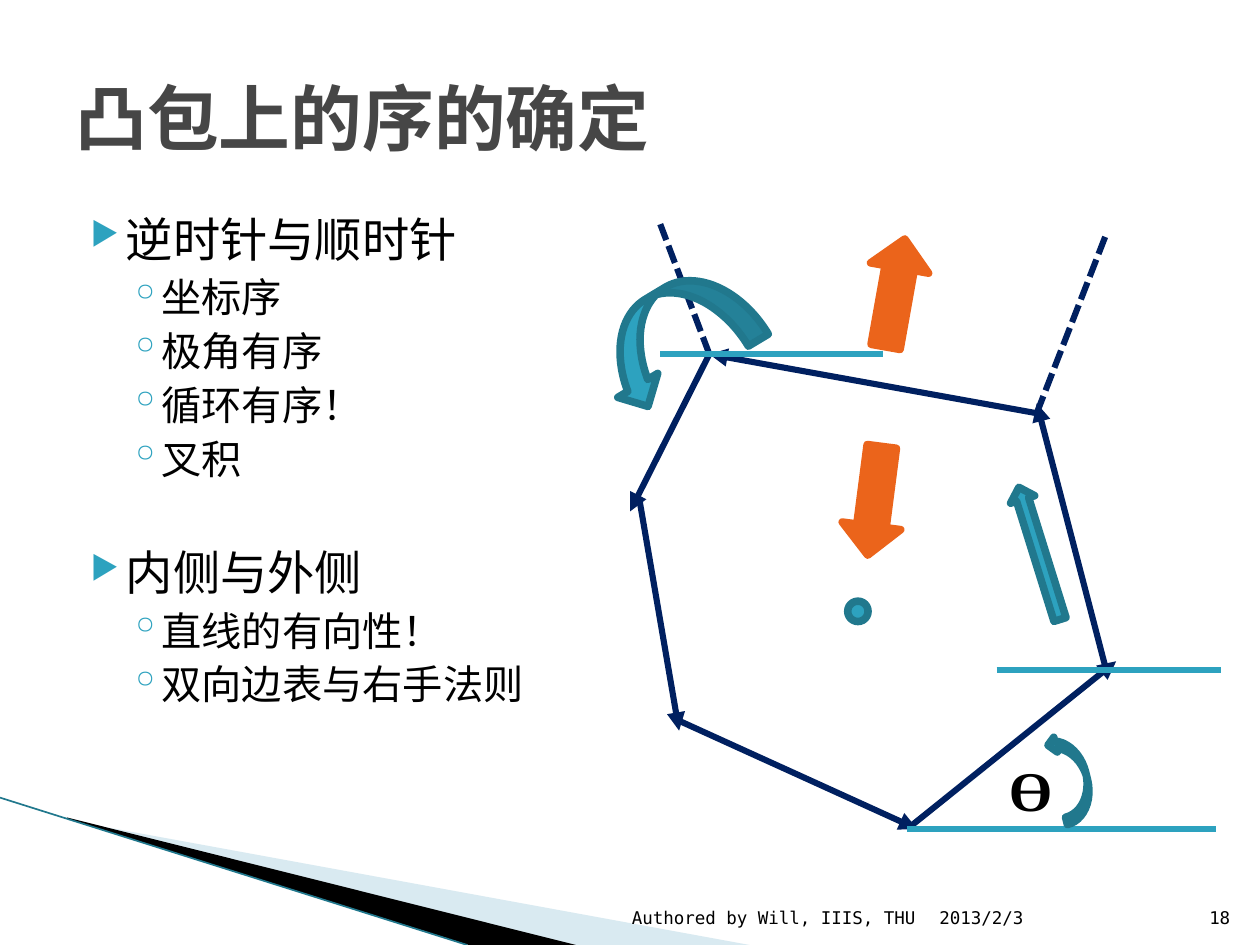
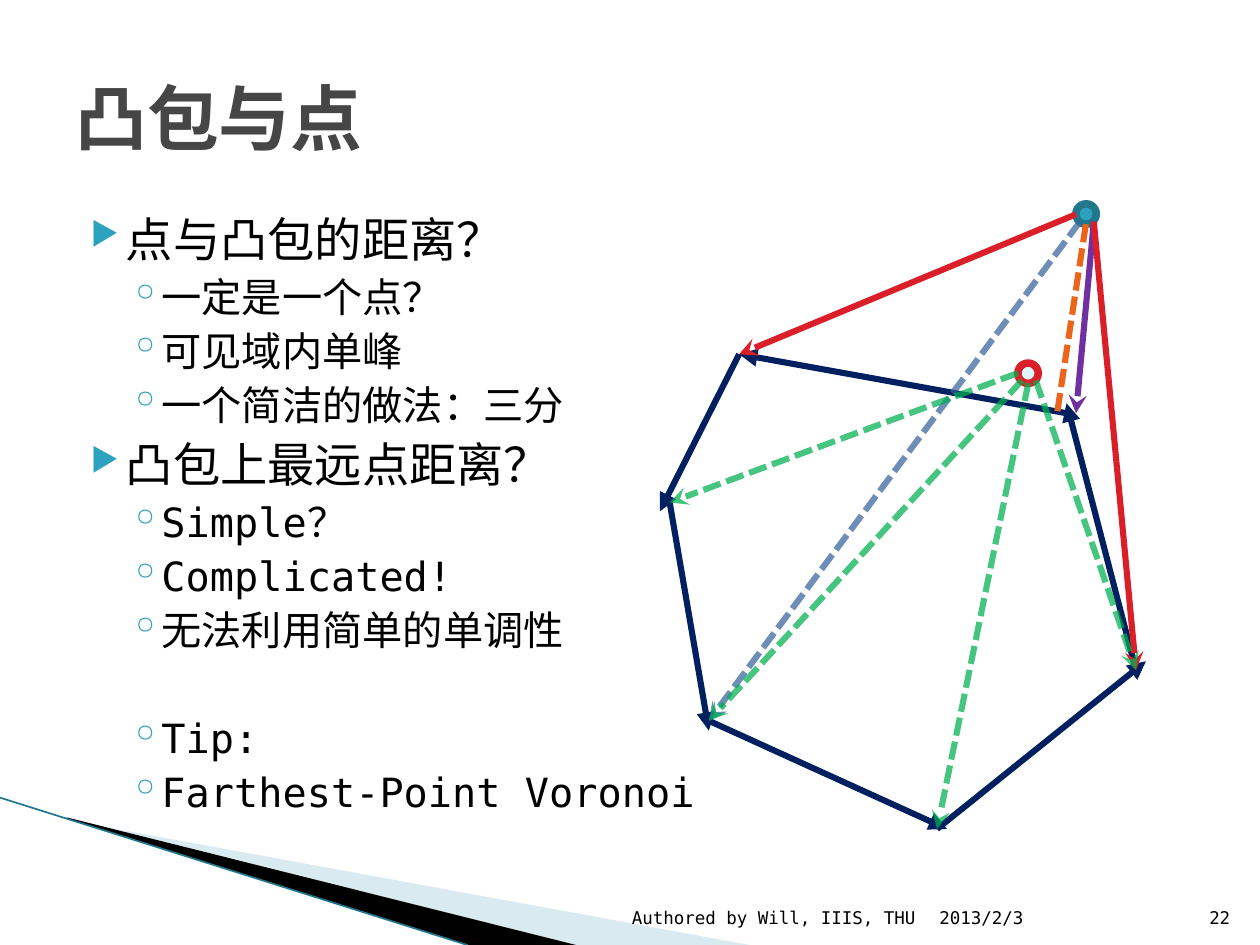
from lxml import etree
from pptx import Presentation
from pptx import util as u
from pptx.dml import color
from pptx.enum import dml, shapes, text
from pptx.oxml import ns

COLORS = {
    "title": "464646", "ink": "000000", "accent": "2DA2BF", "edge": "21788D",
    "hull": "002060", "orange": "EB641B", "red": "DA1F28", "purple": "7030A0",
    "blue": "39639D", "green": "00B050", "pale": "DEF5FA", "band": "A0CBDC",
}
MONO, SERIF = "DejaVu Sans Mono", "Times New Roman"
WIDTH, HEIGHT = 25.4, 19.05
DOT = 0.41
STROKE, OUTLINE = 3.5, 4.33
SEE_THROUGH = 72

BANDS = [
    ("band", 40, [(1.4, 16.54), (15.11, HEIGHT), (11.58, HEIGHT), (1.4, 16.51)]),
    ("ink", None, [(1.35, 16.48), (11.61, HEIGHT), (9.45, HEIGHT), (1.37, 16.51)]),
]
BAND_EDGE = ((0, 16.08), (9.42, HEIGHT))
FOOTER_TOP, FOOTER_HEIGHT = 17.81, 1.02
FOOTERS = [
    ("2013/2/3", 18.69, 5.33, "LEFT"),
    ("Authored by Will, IIIS, THU", 12.17, 6.53, "RIGHT"),
]
PAGE_NUMBER = (24.03, 1.02, "RIGHT")

LEVELS = [
    {"size": 27, "margin": 1.02, "indent": -0.71, "before": 4, "bullet": "▶", "scale": 68},
    {"size": 23, "margin": 1.73, "indent": -0.64, "before": 3.2, "bullet": "◦", "scale": 100},
]
SECTION_GAP = 31

HULL = [(14.3, 7.14), (12.9, 10.13), (13.69, 14.53),
        (18.29, 16.71), (22.3, 13.51), (20.9, 8.33)]
OVERSHOOT = [(0, 0), (-0.2, 0.18), (0, 0.2), (0.2, 0), (0.2, -0.18), (0, -0.2)]
SHIFT = 0.6
SHIFTED = [(x + SHIFT, y) for x, y in HULL]

ORDER_FIGURE = [
    ("shape", "DOWN_ARROW", (17.04, 8.99, 1.19, 2.21), 7.4, "orange", "orange"),
    ("shape", "DOWN_ARROW", (17.45, 4.8, 1.19, 2.21), 190.1, "orange", "orange"),
    ("shape", "OVAL", (17.09, 12.12, DOT, DOT), 0, "accent", "edge"),
    ("shape", "RIGHT_ARROW", (19.56, 10.9, 2.79, 0.51), 252.7, "accent", "edge"),
    ("line", HULL[0], (13.31, 4.52), "hull", {"dashed": True}),
    ("line", HULL[5], (22.3, 4.72), "hull", {"dashed": True}),
    ("line", HULL[3], (24.51, 16.71), "accent", {}),
    ("label", "ϴ", (20.09, 15.11, 1.6, 1.63)),
    ("shape", "CURVED_UP_ARROW", (20.7, 15.37, 1.8, 0.61), 256.2, "accent", "edge"),
    ("line", (20.09, 13.51), (24.61, 13.51), "accent", {}),
    ("line", (13.31, 7.14), (17.81, 7.14), "accent", {}),
    ("shape", "CURVED_UP_ARROW", (11.94, 5.84, 3.3, 1.88), 149, "accent", "edge"),
]
POINT_FIGURE = [
    ("shape", "OVAL", (21.69, 4.11, DOT, DOT), 0, "accent", "edge"),
    ("line", (21.69, 4.32), SHIFTED[0], "red", {"head": "stealth"}),
    ("line", (22.05, 4.47), (21.69, 8.33), "purple", {"head": "stealth"}),
    ("line", (22.05, 4.47), SHIFTED[4], "red", {"head": "stealth"}),
    ("line", (21.89, 4.52), (21.31, 8.33), "orange", {"dashed": True}),
    ("line", (21.77, 4.47), SHIFTED[2], "blue",
     {"dashed": True, "head": "stealth", "alpha": SEE_THROUGH}),
    ("shape", "OVAL", (20.52, 7.32, DOT, DOT), 0, "pale", "red"),
]
RAYS = [((20.52, 7.52), 1), ((20.6, 7.67), 2), ((20.73, 7.72), 3), ((20.88, 7.67), 4)]

SLIDES = [
    {"title": "凸包上的序的确定", "number": "18", "hull": HULL,
     "figure": ORDER_FIGURE, "rays": [],
     "body": [(0, "逆时针与顺时针"), (1, "坐标序"), (1, "极角有序"), (1, "循环有序！"),
              (1, "叉积"), (0, "内侧与外侧"), (1, "直线的有向性！"),
              (1, "双向边表与右手法则")],
     "gap_before": "内侧与外侧"},
    {"title": "凸包与点", "number": "22", "hull": SHIFTED,
     "figure": POINT_FIGURE, "rays": RAYS,
     "body": [(0, "点与凸包的距离？"), (1, "一定是一个点？"), (1, "可见域内单峰"),
              (1, "一个简洁的做法：三分"), (0, "凸包上最远点距离？"), (1, "Simple？"),
              (1, "Complicated!"), (1, "无法利用简单的单调性"), (1, "Tip:"),
              (1, "Farthest-Point Voronoi")],
     "gap_before": "Tip:"},
]


def rgb(name):
    return color.RGBColor.from_string(COLORS[name])


def lengths(values):
    return [u.Cm(value) for value in values]


def add_child(parent, tag, **attributes):
    child = etree.SubElement(parent, ns.qn(tag))
    for key, value in attributes.items():
        child.set(key, str(value))
    return child


def set_alpha(properties, percent):
    tint = next(properties.iter(ns.qn("a:srgbClr")))
    add_child(tint, "a:alpha", val=percent * 1000)


def add_line(target, start, end, tint, width=STROKE, dashed=False, head=None, alpha=None):
    line = target.add_connector(shapes.MSO_CONNECTOR.STRAIGHT, *lengths(start + end))
    line.line.color.rgb = rgb(tint)
    line.line.width = u.Pt(width)
    if dashed:
        line.line.dash_style = dml.MSO_LINE.SQUARE_DOT
        stroke = line.line._get_or_add_ln()
        stroke.find(ns.qn("a:prstDash")).set("val", "sysDash")
    if alpha:
        set_alpha(line.line._get_or_add_ln(), alpha)
    if head:
        add_child(line.line._get_or_add_ln(), "a:tailEnd", type=head)
    add_child(line._element.spPr, "a:effectLst")


def add_shape(target, kind, bounds, turn, fill, edge):
    shape = target.add_shape(getattr(shapes.MSO_SHAPE, kind), *lengths(bounds))
    shape.rotation = turn
    shape.shadow.inherit = False
    shape.fill.solid()
    shape.fill.fore_color.rgb = rgb(fill)
    shape.line.color.rgb = rgb(edge)
    shape.line.width = u.Pt(OUTLINE)


def add_box(page, bounds, anchor="TOP"):
    box = page.shapes.add_textbox(*lengths(bounds))
    box.text_frame.word_wrap = True
    box.text_frame.vertical_anchor = getattr(text.MSO_ANCHOR, anchor)
    return box.text_frame


def add_span(para, words, size, tint="ink", font=MONO, bold=False):
    span = para.add_run()
    span.text = words
    span.font.size = u.Pt(size)
    span.font.name = font
    span.font.bold = bold
    span.font.color.rgb = rgb(tint)
    add_child(span.font._element, "a:ea", typeface=font)


def add_label(page, words, bounds):
    add_span(add_box(page, bounds).paragraphs[0], words, 32, font=SERIF, bold=True)


def add_bands(page):
    for tint, alpha, points in BANDS:
        corners = [lengths(point) for point in points]
        builder = page.shapes.build_freeform(*corners[0])
        builder.add_line_segments(corners[1:], close=True)
        band = builder.convert_to_shape()
        band.shadow.inherit = False
        band.fill.solid()
        band.fill.fore_color.rgb = rgb(tint)
        band.line.fill.background()
        if alpha:
            set_alpha(band._element.spPr, alpha)
    add_line(page.shapes, *BAND_EDGE, "edge", width=0.95)


def add_title(page, words):
    frame = add_box(page, (1.27, 0.76, 22.86, 3.18), "MIDDLE")
    add_span(frame.paragraphs[0], words, 41, "title", bold=True)


def add_body(page, items, gap_before):
    frame = add_box(page, (1.27, 4.11, 22.86, 12.57))
    for index, (depth, words) in enumerate(items):
        level = LEVELS[depth]
        para = frame.add_paragraph() if index else frame.paragraphs[0]
        para.level = depth
        gap = SECTION_GAP if words == gap_before else 0
        para.space_before = u.Pt(level["before"] + gap)
        layout = para._p.get_or_add_pPr()
        layout.set("marL", str(u.Cm(level["margin"])))
        layout.set("indent", str(u.Cm(level["indent"])))
        add_child(add_child(layout, "a:buClr"), "a:srgbClr", val=COLORS["accent"])
        add_child(layout, "a:buSzPct", val=level["scale"] * 1000)
        add_child(layout, "a:buChar", char=level["bullet"])
        add_span(para, words, level["size"])


def add_hull(page, corners):
    group = page.shapes.add_group_shape()
    for index, start in enumerate(corners):
        following = (index + 1) % len(corners)
        (x, y), (dx, dy) = corners[following], OVERSHOOT[following]
        add_line(group.shapes, start, (x + dx, y + dy), "hull", head="triangle")


def add_figure(page, parts):
    for kind, *details in parts:
        if kind == "line":
            *ends, options = details
            add_line(page.shapes, *ends, **options)
        elif kind == "shape":
            add_shape(page.shapes, *details)
        else:
            add_label(page, *details)


def add_rays(page, rays, corners):
    group = page.shapes.add_group_shape()
    for start, corner in rays:
        add_line(group.shapes, start, corners[corner], "green",
                 dashed=True, head="stealth", alpha=SEE_THROUGH)


def add_footers(page, number):
    for words, left, width, align in FOOTERS + [(number, *PAGE_NUMBER)]:
        frame = add_box(page, (left, FOOTER_TOP, width, FOOTER_HEIGHT), "BOTTOM")
        para = frame.paragraphs[0]
        para.alignment = getattr(text.PP_ALIGN, align)
        add_span(para, words, 10)


def main():
    deck = Presentation()
    deck.slide_width, deck.slide_height = lengths((WIDTH, HEIGHT))
    for content in SLIDES:
        page = deck.slides.add_slide(deck.slide_layouts[6])
        add_bands(page)
        add_body(page, content["body"], content["gap_before"])
        add_title(page, content["title"])
        add_hull(page, content["hull"])
        add_figure(page, content["figure"])
        if content["rays"]:
            add_rays(page, content["rays"], content["hull"])
        add_footers(page, content["number"])
    deck.save("out.pptx")


if __name__ == "__main__":
    main()
